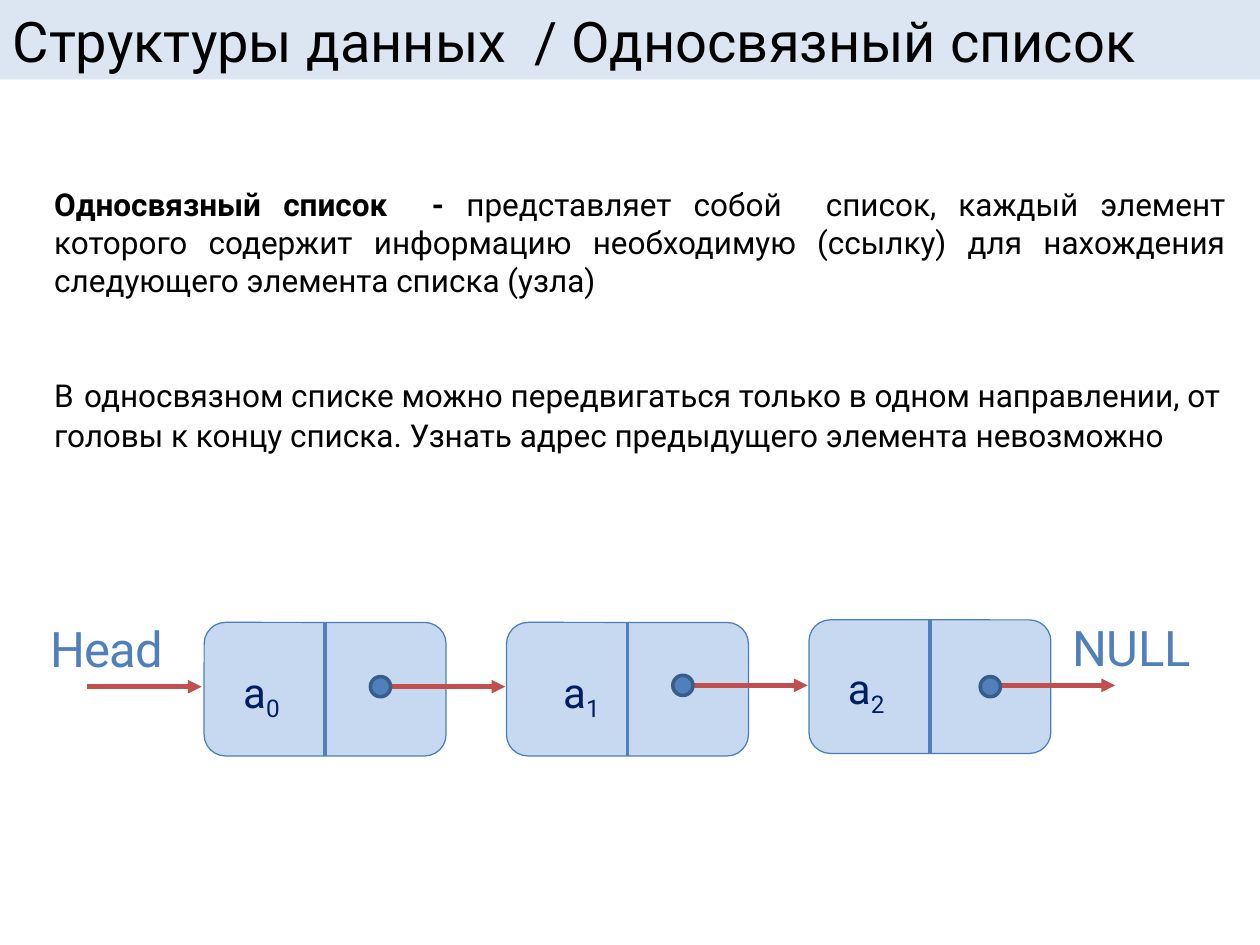
from lxml import etree
from pptx import Presentation
from pptx import util as u
from pptx.dml.color import RGBColor
from pptx.enum import shapes, text
from pptx.oxml.ns import qn

WIDTH, HEIGHT = 10, 7.5
FONT = "Roboto"
COLORS = {
    "banner": "DCE6F2", "ink": "000000", "cell": "C6D9F1", "outline": "4A7EBA",
    "accent": "4F80BC", "dot_edge": "385D89", "arrow": "C04F4D", "value": "001F5F",
}

NODE_LEFT, NODE_STEP = 1.62, 2.4
NODE_WIDTH, NODE_HEIGHT = 1.92, 1.06
ARROW_LENGTH, DOT = 0.91, 0.16
NODES = [
    {"top": 4.94, "value": (1.92, 5.29), "dot": (2.94, 5.37), "link": 5.45},
    {"top": 4.94, "value": (4.46, 5.29), "dot": (5.34, 5.36), "link": 5.44},
    {"top": 4.92, "value": (6.72, 5.26), "dot": (7.78, 5.37), "link": 5.44},
]


def color(name):
    return RGBColor.from_string(COLORS[name])


def place(item, left, top, width, height):
    item.left, item.top = u.Inches(left), u.Inches(top)
    item.width, item.height = u.Inches(width), u.Inches(height)


def style_font(font, size, name):
    font.name, font.size = FONT, u.Pt(size)
    font.color.rgb = color(name)


def add_title(slide, wording):
    title = slide.shapes.title
    place(title, 0, 0, WIDTH, 0.63)
    title.fill.solid()
    title.fill.fore_color.rgb = color("banner")
    frame = title.text_frame
    frame.text = wording
    frame.auto_size = text.MSO_AUTO_SIZE.NONE
    frame.vertical_anchor = text.MSO_ANCHOR.MIDDLE
    heading = frame.paragraphs[0]
    heading.alignment = text.PP_ALIGN.LEFT
    style_font(heading.font, 32, "ink")


def add_body(slide, definition, remark):
    body = slide.placeholders[1]
    place(body, 0.33, 1.42, 9.5, 5.53)
    frame = body.text_frame
    frame.auto_size = text.MSO_AUTO_SIZE.NONE
    for index, pieces in enumerate((definition, remark)):
        paragraph = frame.paragraphs[0] if index == 0 else frame.add_paragraph()
        for wording, size, bold in pieces:
            run = paragraph.add_run()
            run.text = wording
            style_font(run.font, size, "ink")
            run.font.bold = bold
        properties = paragraph._p.get_or_add_pPr()
        properties.set("marL", "0")
        properties.set("indent", "0")
        etree.SubElement(properties, qn("a:buNone"))
    frame.paragraphs[0].alignment = text.PP_ALIGN.JUSTIFY
    frame.paragraphs[1].alignment = text.PP_ALIGN.LEFT
    frame.paragraphs[1].space_before = u.Pt(38)


def add_label(slide, left, top, width, height, wording, size, name, index="", spacing=0):
    frame = slide.shapes.add_textbox(
        *map(u.Inches, (left, top, width, height))).text_frame
    frame.word_wrap = True
    frame.margin_left = frame.margin_right = 0
    frame.margin_top = frame.margin_bottom = 0
    paragraph = frame.paragraphs[0]
    style_font(paragraph.font, size, name)
    paragraph._p.get_or_add_pPr().set("marL", str(u.Inches(0.01)))
    run = paragraph.add_run()
    run.text = wording
    run._r.get_or_add_rPr().set("spc", str(spacing))
    if index:
        subscript = paragraph.add_run()
        subscript.text = index
        subscript._r.get_or_add_rPr().set("baseline", "-21000")


def add_outline(slide, kind, left, top, width, height, fill, line, weight):
    shape = slide.shapes.add_shape(kind, *map(u.Inches, (left, top, width, height)))
    shape.shadow.inherit = False
    shape.fill.solid()
    shape.fill.fore_color.rgb = color(fill)
    shape.line.color.rgb = color(line)
    shape.line.width = u.Pt(weight)
    return shape


def add_line(slide, start, end, name, weight, arrow=False):
    line = slide.shapes.add_connector(
        shapes.MSO_CONNECTOR.STRAIGHT, *map(u.Inches, (*start, *end)))
    line.line.color.rgb = color(name)
    line.line.width = u.Pt(weight)
    if arrow:
        etree.SubElement(line.line._get_or_add_ln(), qn("a:tailEnd"), type="triangle")
    etree.SubElement(line._element.spPr, qn("a:effectLst"))


def add_link(slide, left, y):
    add_line(slide, (left, y), (left + ARROW_LENGTH, y), "arrow", 2.6, arrow=True)


def add_node(slide, index, node):
    left, top = NODE_LEFT + index * NODE_STEP, node["top"]
    middle = left + NODE_WIDTH / 2
    cell = add_outline(slide, shapes.MSO_SHAPE.ROUNDED_RECTANGLE, left, top,
                       NODE_WIDTH, NODE_HEIGHT, "cell", "outline", 0.72)
    cell.adjustments[0] = 0.16
    add_line(slide, (middle, top), (middle, top + NODE_HEIGHT), "accent", 2.04)
    add_label(slide, *node["value"], 0.41, 0.4, "a", 24, "value", index=str(index))


def add_pointer(slide, node):
    dot_left, dot_top = node["dot"]
    add_link(slide, dot_left + DOT, node["link"])
    add_outline(slide, shapes.MSO_SHAPE.OVAL, dot_left, dot_top, DOT, DOT,
                "accent", "dot_edge", 2.04)


def main():
    deck = Presentation()
    deck.slide_width, deck.slide_height = u.Inches(WIDTH), u.Inches(HEIGHT)
    slide = deck.slides.add_slide(deck.slide_layouts[1])
    add_title(slide, "Структуры данных  / Односвязный список")
    add_body(
        slide,
        [("Односвязный список  - ", 18, True),
         ("представляет собой  список, каждый элемент которого содержит "
          "информацию необходимую (ссылку) для нахождения следующего "
          "элемента списка (узла)", 18, False)],
        [("В", 18, False), (" ", 24, False),
         ("односвязном списке можно передвигаться только в одном направлении, "
          "от головы к концу списка. Узнать адрес предыдущего элемента "
          "невозможно", 18, False)],
    )
    for index, node in enumerate(NODES):
        add_node(slide, index, node)
    for node in NODES:
        add_pointer(slide, node)
    add_label(slide, 0.39, 4.91, 1, 0.47, "Head", 28, "accent", spacing=-50)
    add_label(slide, 8.5, 4.9, 1, 0.47, "NULL", 28, "accent", spacing=-20)
    add_link(slide, 0.69, 5.45)
    deck.save("out.pptx")


if __name__ == "__main__":
    main()
